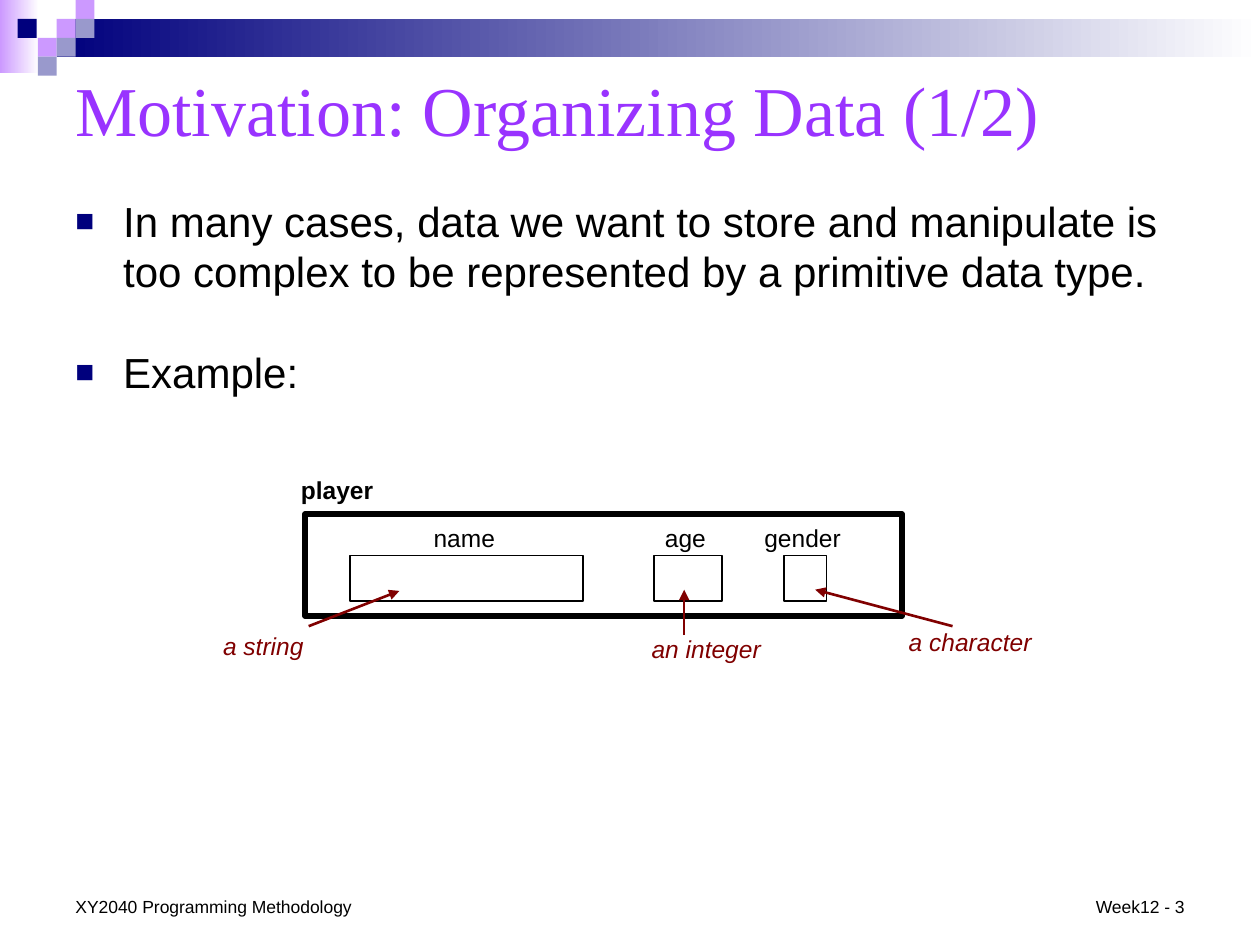
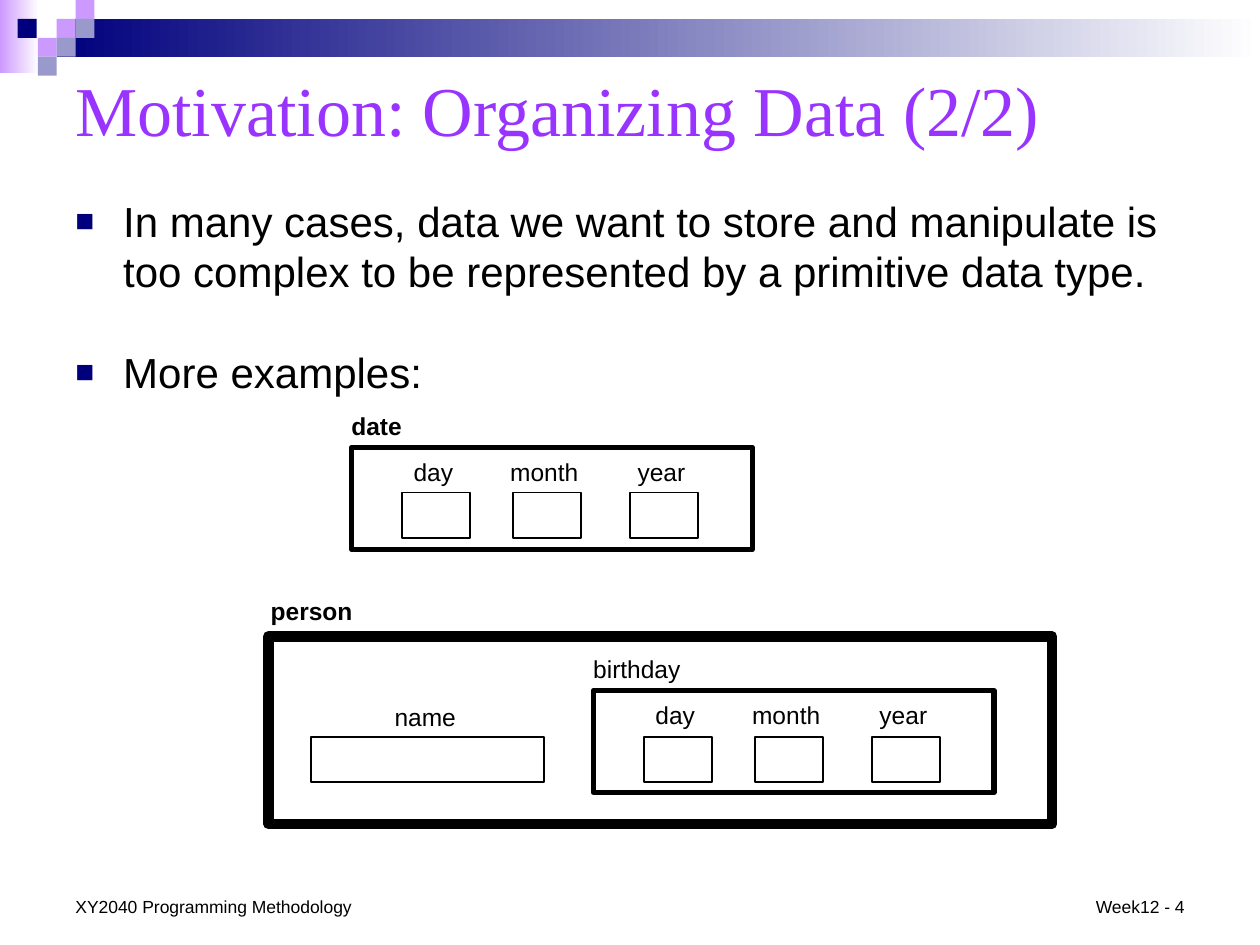
from lxml import etree
from pptx import Presentation
from pptx.dml.color import RGBColor
from pptx.enum.shapes import MSO_CONNECTOR, MSO_SHAPE
from pptx.enum.text import MSO_ANCHOR, PP_ALIGN
from pptx.oxml.ns import qn
from pptx.util import Inches, Pt

NAVY = RGBColor(0x00, 0x00, 0x7D)
LILAC = RGBColor(0xCC, 0x99, 0xFF)
STEEL = RGBColor(0x99, 0x99, 0xCC)
VIOLET = RGBColor(0x99, 0x33, 0xFF)
MAROON = RGBColor(0x80, 0x00, 0x00)
BLACK = RGBColor(0x00, 0x00, 0x00)
WHITE = RGBColor(0xFF, 0xFF, 0xFF)

INTRO = ("In many cases, data we want to store and manipulate is "
         "too complex to be represented by a primitive data type.")
FOOTER = "XY2040 Programming Methodology"
BANDS = [((0, 0, 0.31, 0.58), LILAC), ((0.45, 0.15, 9.55, 0.3), NAVY)]
TILE = 0.15
TILES = [(0.45, 0.15, LILAC), (0.6, 0, LILAC), (0.6, 0.15, STEEL),
         (0.3, 0.3, LILAC), (0.14, 0.15, NAVY), (0.45, 0.3, STEEL),
         (0.3, 0.45, STEEL)]

FIELD_H = 0.36
LABEL_W = 1.0
LABEL_H = 0.34
FIELD_W = {"name": 1.85, "gender": 0.34}
SMALL_FIELD_W = 0.54


def date_fields(x):
    return [("day", x + 0.4), ("month", x + 1.28), ("year", x + 2.21)]


SLIDES = [
    {"title": "Motivation: Organizing Data (1/2)",
     "lead": "Example:",
     "page": "Week12 - 3",
     "records": [
         {"name": "player", "bold": True, "label": (2.29, 3.72),
          "frame": (2.42, 4.08, 4.74, 0.81), "line": 3,
          "label_top": 4.1, "field_top": 4.41,
          "fields": [("name", 2.78), ("age", 5.19), ("gender", 6.22)]}],
     "notes": [("a string", (1.67, 4.96, 0.84), (2.45, 4.97), (3.17, 4.69)),
               ("an integer", (5.07, 4.98, 1.07), (5.43, 5.04), (5.43, 4.68)),
               ("a character", (7.11, 4.93, 1.18), (7.56, 4.97), (6.47, 4.68))]},
    {"title": "Motivation: Organizing Data (2/2)",
     "lead": "More examples:",
     "page": "Week12 - 4",
     "records": [
         {"name": "date", "bold": True, "label": (2.69, 3.21),
          "frame": (2.79, 3.55, 3.18, 0.81), "line": 3,
          "label_top": 3.58, "field_top": 3.91,
          "fields": date_fields(2.79)},
         {"name": "birthday", "bold": False, "label": (4.61, 5.14),
          "frame": (4.71, 5.48, 3.18, 0.81), "line": 3,
          "label_top": 5.51, "field_top": 5.85,
          "fields": date_fields(4.71)},
         {"name": "person", "bold": True, "label": (2.05, 4.68),
          "frame": (2.13, 5.05, 6.22, 1.49), "line": 6,
          "label_top": 5.52, "field_top": 5.85,
          "fields": [("name", 2.47)]}],
     "notes": []},
]


def add_run(p, text, size, color=BLACK, font="Arial", bold=False, italic=False):
    r = p.add_run()
    r.text = text
    r.font.name = font
    r.font.size = Pt(size)
    r.font.bold = bold
    r.font.italic = italic
    r.font.color.rgb = color


def add_box(s, at, anchor=MSO_ANCHOR.TOP, wrap=True):
    tf = s.shapes.add_textbox(*map(Inches, at)).text_frame
    tf.word_wrap = wrap
    tf.vertical_anchor = anchor
    return tf


def add_text(s, at, text, size, align=PP_ALIGN.LEFT, anchor=MSO_ANCHOR.TOP,
             wrap=True, **style):
    p = add_box(s, at, anchor, wrap).paragraphs[0]
    p.alignment = align
    add_run(p, text, size, **style)


def add_rect(s, at, fill=None, line=0):
    sp = s.shapes.add_shape(MSO_SHAPE.RECTANGLE, *map(Inches, at))
    sp.shadow.inherit = False
    if fill is None:
        sp.fill.background()
    else:
        sp.fill.solid()
        sp.fill.fore_color.rgb = fill
    if line:
        sp.line.color.rgb = BLACK
        sp.line.width = Pt(line)
    else:
        sp.line.fill.background()
    return sp


def add_band(s, at, color):
    fill = add_rect(s, at).fill
    fill.gradient()
    fill.gradient_angle = 0
    for stop, position, rgb in zip(fill.gradient_stops, (0, 1), (color, WHITE)):
        stop.position = position
        stop.color.rgb = rgb


def add_bullet(p, text):
    pPr = p._p.get_or_add_pPr()
    pPr.set("marL", str(Inches(0.38)))
    pPr.set("indent", str(-Inches(0.38)))
    color = etree.SubElement(pPr, qn("a:buClr"))
    etree.SubElement(color, qn("a:srgbClr"), val=str(NAVY))
    etree.SubElement(pPr, qn("a:buSzPct"), val="75000")
    etree.SubElement(pPr, qn("a:buFont"), typeface="Arial")
    etree.SubElement(pPr, qn("a:buChar"), char="■")
    add_run(p, text, 24)


def add_arrow(s, start, end):
    c = s.shapes.add_connector(MSO_CONNECTOR.STRAIGHT, *map(Inches, start + end))
    c.line.color.rgb = MAROON
    c.line.width = Pt(1.5)
    etree.SubElement(c.line._get_or_add_ln(), qn("a:tailEnd"), type="triangle")
    etree.SubElement(c._element.spPr, qn("a:effectLst"))


def add_record(s, record):
    for name, x in record["fields"]:
        width = FIELD_W.get(name, SMALL_FIELD_W)
        add_rect(s, (x, record["field_top"], width, FIELD_H), WHITE, 1)
        label_x = x + (width - LABEL_W) / 2 - 0.02
        add_text(s, (label_x, record["label_top"], LABEL_W, LABEL_H), name, 14,
                 PP_ALIGN.CENTER)
    add_text(s, record["label"] + (1.26, LABEL_H), record["name"], 14,
             bold=record["bold"])
    add_rect(s, record["frame"], line=record["line"])


def add_common(s, title, lead, page):
    for at, color in BANDS:
        add_band(s, at, color)
    for x, y, color in TILES:
        add_rect(s, (x, y, TILE, TILE), color)
    add_text(s, (0.5, 0.42, 9, 0.88), title, 40, anchor=MSO_ANCHOR.MIDDLE,
             color=VIOLET, font="Times New Roman")
    add_text(s, (0.5, 7.06, 2.42, 0.27), FOOTER, 10)
    tf = add_box(s, (0.5, 1.5, 9, 1.72))
    tf.paragraphs[0].space_after = Pt(29)
    add_bullet(tf.paragraphs[0], INTRO)
    add_bullet(tf.add_paragraph(), lead)
    add_text(s, (8.58, 7.06, 0.92, 0.27), page, 10, PP_ALIGN.RIGHT,
             MSO_ANCHOR.BOTTOM, wrap=False)


def main():
    prs = Presentation()
    prs.slide_width = Inches(10)
    prs.slide_height = Inches(7.5)
    for content in SLIDES:
        s = prs.slides.add_slide(prs.slide_layouts[6])
        add_common(s, content["title"], content["lead"], content["page"])
        for record in content["records"]:
            add_record(s, record)
        for text, (x, y, width), start, end in content["notes"]:
            add_text(s, (x, y, width, LABEL_H), text, 14, PP_ALIGN.CENTER,
                     wrap=False, color=MAROON, italic=True)
            add_arrow(s, start, end)
    prs.save("out.pptx")


if __name__ == "__main__":
    main()
